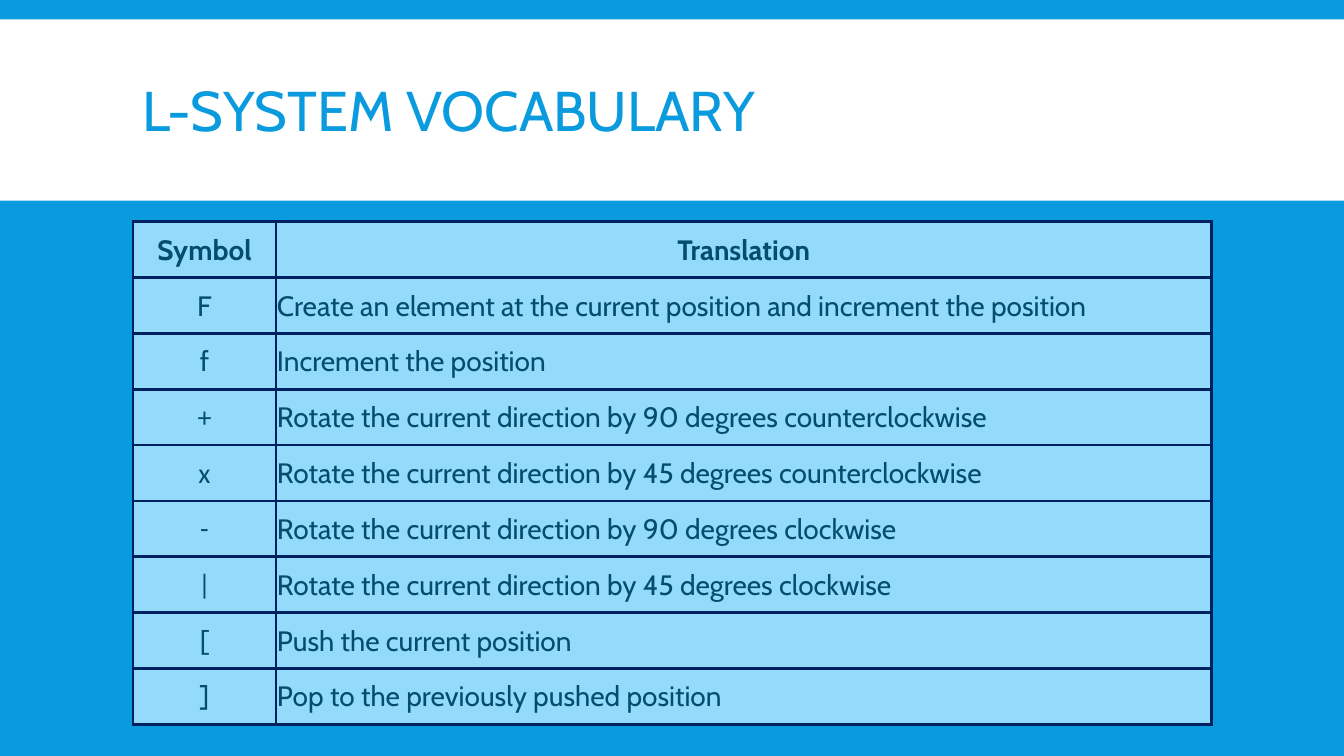
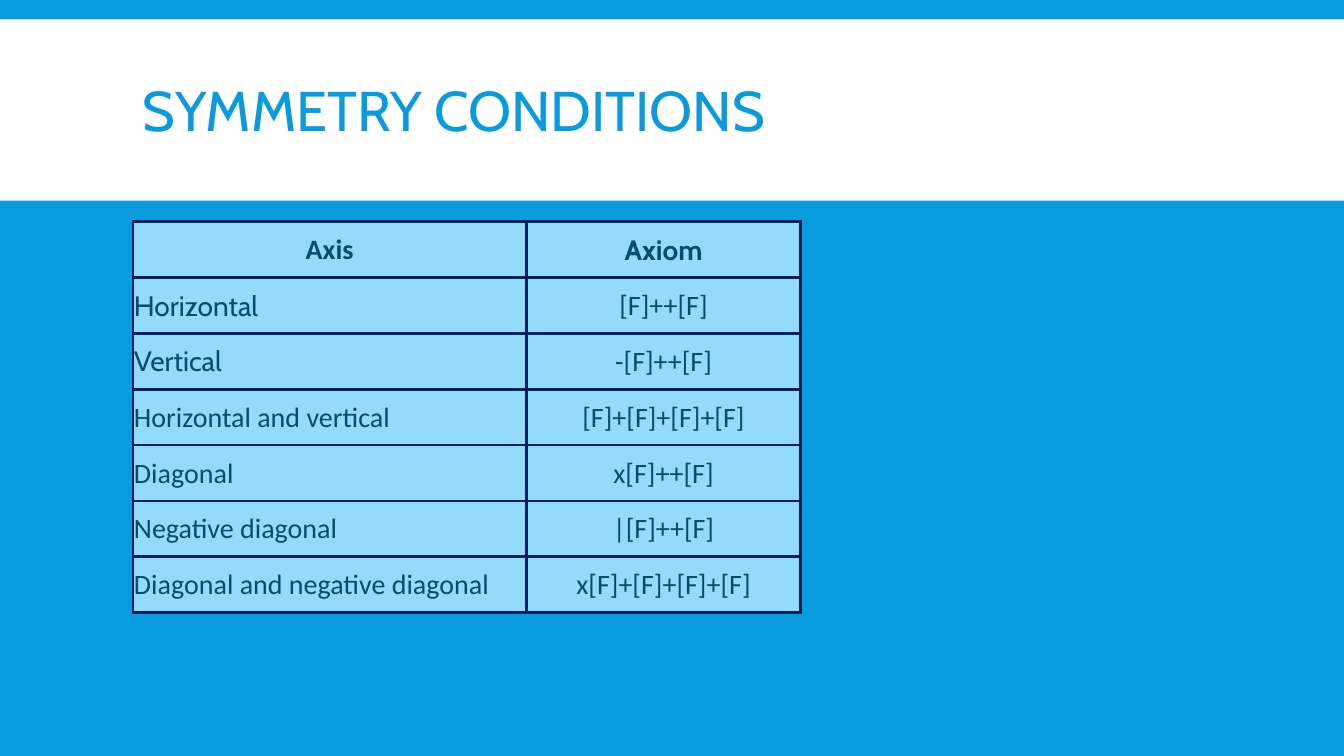
"""Build two slides with the symbol table and the axiom table of an L-system."""
from lxml import etree
from pptx import Presentation
from pptx.dml.color import RGBColor
from pptx.enum import shapes, text
from pptx.oxml import ns
from pptx.util import Pt

COLORS = {
    "background": "099BDD",
    "band": "FFFFFF",
    "title": "099BDD",
    "cell": "93DAFB",
    "cell_text": "044D6E",
    "border": "002060",
}
MAIN_FONT, OTHER_FONT = "Cabin", "Calibri"
LEFT, CONTENT_WIDTH = 95, 770.4
TABLE_TOP, ROW_HEIGHT, BORDER_WIDTH = 158.4, 39.9, 2.25
CELL_INSET = 0.7
CENTER, START = text.PP_ALIGN.CENTER, text.PP_ALIGN.LEFT

SLIDES = [
    {
        "title": "L-SYSTEM VOCABULARY",
        "widths": (102.2, 668.2),
        "alignments": (CENTER, START),
        "other_font_cells": {"+", "x", "-", "|"},
        "rows": [
            ("Symbol", "Translation"),
            ("F", "Create an element at the current position and increment the position"),
            ("f", "Increment the position"),
            ("+", "Rotate the current direction by 90 degrees counterclockwise"),
            ("x", "Rotate the current direction by 45 degrees counterclockwise"),
            ("-", "Rotate the current direction by 90 degrees clockwise"),
            ("|", "Rotate the current direction by 45 degrees clockwise"),
            ("[", "Push the current position"),
            ("]", "Pop to the previously pushed position"),
        ],
    },
    {
        "title": "SYMMETRY CONDITIONS",
        "widths": (281, 196),
        "alignments": (START, CENTER),
        "other_font_cells": {
            "Axis", "[F]++[F]", "-[F]++[F]",
            "Horizontal and vertical", "[F]+[F]+[F]+[F]",
            "Diagonal", "x[F]++[F]",
            "Negative diagonal", "|[F]++[F]",
            "Diagonal and negative diagonal", "x[F]+[F]+[F]+[F]",
        },
        "rows": [
            ("Axis", "Axiom"),
            ("Horizontal", "[F]++[F]"),
            ("Vertical", "-[F]++[F]"),
            ("Horizontal and vertical", "[F]+[F]+[F]+[F]"),
            ("Diagonal", "x[F]++[F]"),
            ("Negative diagonal", "|[F]++[F]"),
            ("Diagonal and negative diagonal", "x[F]+[F]+[F]+[F]"),
        ],
    },
]


def paint(fill, color):
    fill.solid()
    fill.fore_color.rgb = RGBColor.from_string(COLORS[color])


def style_font(paragraph, name, size, color, bold=False):
    font = paragraph.runs[0].font
    font.name, font.size, font.bold = name, Pt(size), bold
    font.color.rgb = RGBColor.from_string(COLORS[color])


def add_frame(slide, title):
    paint(slide.background.fill, "background")
    band = slide.shapes.add_shape(
        shapes.MSO_SHAPE.RECTANGLE, 0, Pt(13.8), Pt(960), Pt(129.6))
    band.shadow.inherit = False
    paint(band.fill, "band")
    band.line.fill.background()

    title_box = slide.shapes.add_textbox(Pt(LEFT), Pt(22.3), Pt(CONTENT_WIDTH), Pt(118.8))
    text_frame = title_box.text_frame
    text_frame.word_wrap = True
    text_frame.vertical_anchor = text.MSO_ANCHOR.MIDDLE
    text_frame.text = title
    paragraph = text_frame.paragraphs[0]
    paragraph.line_spacing = 0.85
    style_font(paragraph, MAIN_FONT, 40, "title")


def add_borders(cell):
    properties = cell._tc.get_or_add_tcPr()
    for side in ("lnL", "lnR", "lnT", "lnB"):
        line = etree.SubElement(properties, ns.qn(f"a:{side}"), w=str(Pt(BORDER_WIDTH)))
        fill = etree.SubElement(line, ns.qn("a:solidFill"))
        etree.SubElement(fill, ns.qn("a:srgbClr"), val=COLORS["border"])


def fill_cell(cell, value, font_name, alignment, is_header):
    cell.margin_left = cell.margin_right = cell.margin_top = Pt(CELL_INSET)
    cell.margin_bottom = 0
    cell.vertical_anchor = text.MSO_ANCHOR.MIDDLE
    add_borders(cell)
    paint(cell.fill, "cell")
    cell.text_frame.text = value
    paragraph = cell.text_frame.paragraphs[0]
    paragraph.alignment = CENTER if is_header else alignment
    style_font(paragraph, font_name, 20, "cell_text", is_header)


def add_table(slide, content):
    rows, widths = content["rows"], content["widths"]
    table = slide.shapes.add_table(
        len(rows), len(widths), Pt(LEFT), Pt(TABLE_TOP),
        Pt(sum(widths)), Pt(ROW_HEIGHT * len(rows))).table
    table.horz_banding = False
    for column, width in zip(table.columns, widths):
        column.width = Pt(width)
    for row_index, row in enumerate(rows):
        table.rows[row_index].height = Pt(ROW_HEIGHT)
        for column_index, value in enumerate(row):
            font_name = OTHER_FONT if value in content["other_font_cells"] else MAIN_FONT
            fill_cell(table.cell(row_index, column_index), value, font_name,
                      content["alignments"][column_index], row_index == 0)


def main():
    presentation = Presentation()
    presentation.slide_width, presentation.slide_height = Pt(960), Pt(540)
    for content in SLIDES:
        slide = presentation.slides.add_slide(presentation.slide_layouts[6])
        add_frame(slide, content["title"])
        add_table(slide, content)
    presentation.save("out.pptx")


if __name__ == "__main__":
    main()
